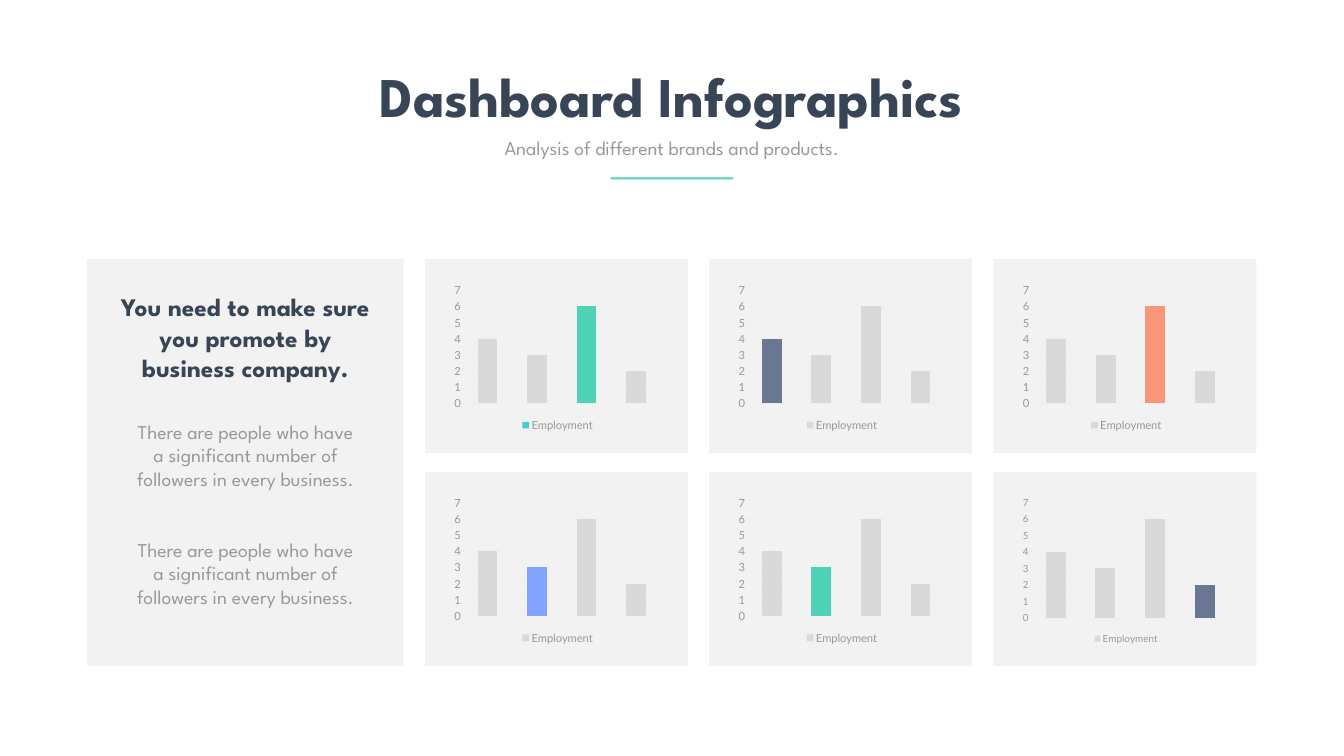
from pptx import Presentation
from pptx.chart.data import CategoryChartData
from pptx.dml.color import RGBColor
from pptx.enum.chart import XL_CHART_TYPE, XL_LEGEND_POSITION, XL_TICK_MARK
from pptx.enum.shapes import MSO_SHAPE
from pptx.enum.text import MSO_ANCHOR, PP_ALIGN
from pptx.util import Cm, Pt

STACKED = XL_CHART_TYPE.COLUMN_STACKED
BOTTOM = XL_LEGEND_POSITION.BOTTOM
NO_TICK = XL_TICK_MARK.NONE
RECT = MSO_SHAPE.RECTANGLE
TOP = MSO_ANCHOR.TOP
CENTER = PP_ALIGN.CENTER

NAVY = RGBColor(0x37, 0x45, 0x56)
GRAY = RGBColor(0x99, 0x99, 0x99)
PANEL = RGBColor(0xF2, 0xF2, 0xF2)
GRID = RGBColor(0xF0, 0xF0, 0xF0)
BAR = RGBColor(0xD9, 0xD9, 0xD9)
CYAN = RGBColor(0x43, 0xCD, 0xD9)
TEAL = RGBColor(0x50, 0xD2, 0xB6)
BLUE = RGBColor(0x82, 0xA4, 0xFE)
SLATE = RGBColor(0x69, 0x77, 0x92)
CORAL = RGBColor(0xF9, 0x95, 0x78)

TEXT_FONT = "League Spartan"
CHART_FONT = "Lato"
VALUES = (4, 3, 6, 2)
BODY = "There are people who have a significant number of followers in every business."

CARD_LEFT, CARD_TOP = 21.41, 13.06
CARD_W, CARD_H = 13.26, 9.78
STEP_X, STEP_Y = 14.33, 10.72
CHART_W, CHART_H = 10.85, 7.72

CARDS = [
    [(2, TEAL, CYAN, 16), (0, SLATE, BAR, 16), (2, CORAL, BAR, 16)],
    [(1, BLUE, BAR, 16), (1, TEAL, BAR, 16), (3, SLATE, BAR, 14)],
]


def add_block(slide, x, y, w, h, color):
    sp = slide.shapes.add_shape(RECT, Cm(x), Cm(y), Cm(w), Cm(h))
    sp.shadow.inherit = False
    sp.fill.solid()
    sp.fill.fore_color.rgb = color
    sp.line.fill.background()


def style_font(font, name, size, color, bold=False):
    font.name = name
    font.size = Pt(size)
    font.color.rgb = color
    font.bold = bold


def set_text(sp, text, size, color, bold=False, wrap=True):
    tf = sp.text_frame
    tf.text = text
    tf.word_wrap = wrap
    tf.vertical_anchor = TOP
    p = tf.paragraphs[0]
    p.alignment = CENTER
    p.line_spacing = 1.0
    style_font(p.runs[0].font, TEXT_FONT, size, color, bold)


def add_title(slide, text):
    sp = slide.shapes.title
    sp.left, sp.top, sp.width, sp.height = Cm(16.99), Cm(2.97), Cm(33.71), Cm(3.68)
    set_text(sp, text, 80, NAVY, bold=True, wrap=False)


def add_text(slide, x, y, w, h, text, size, color, bold=False):
    sp = slide.shapes.add_textbox(Cm(x), Cm(y), Cm(w), Cm(h))
    set_text(sp, text, size, color, bold)


def add_column_chart(slide, x, y, highlight, accent, series_color, size):
    data = CategoryChartData()
    data.categories = ["1", "2", "3", "4"]
    data.add_series("Employment", VALUES)
    chart = slide.shapes.add_chart(
        STACKED, Cm(x), Cm(y), Cm(CHART_W), Cm(CHART_H), data
    ).chart
    chart.has_title = False
    style_font(chart.font, CHART_FONT, size, GRAY)
    chart.has_legend = True
    chart.legend.position = BOTTOM
    chart.legend.include_in_layout = False
    style_font(chart.legend.font, CHART_FONT, size, GRAY)

    chart.category_axis.visible = False
    axis = chart.value_axis
    axis.minimum_scale, axis.maximum_scale, axis.major_unit = 0, 7, 1
    axis.major_tick_mark = NO_TICK
    axis.minor_tick_mark = NO_TICK
    axis.format.line.fill.background()
    style_font(axis.tick_labels.font, CHART_FONT, size, GRAY)
    grid_line = axis.major_gridlines.format.line
    grid_line.color.rgb = GRID
    grid_line.width = Pt(0.75)

    plot = chart.plots[0]
    plot.gap_width = 150
    plot.overlap = 100
    plot.vary_by_categories = False
    series = plot.series[0]
    series.format.fill.solid()
    series.format.fill.fore_color.rgb = series_color
    for i in range(len(VALUES)):
        fill = series.points[i].format.fill
        fill.solid()
        fill.fore_color.rgb = accent if i == highlight else BAR


def add_chart_cards(slide):
    for row, cards in enumerate(CARDS):
        for col, card in enumerate(cards):
            x = CARD_LEFT + col * STEP_X
            y = CARD_TOP + row * STEP_Y
            add_block(slide, x, y, CARD_W, CARD_H, PANEL)
            add_column_chart(slide, x + 1.27, y + 1.09, *card)


def add_message_panel(slide):
    add_block(slide, 4.39, CARD_TOP, 15.95, STEP_Y + CARD_H, PANEL)
    add_text(slide, 5.56, 14.58, 13.61, 4.88,
             "You need to make sure you promote by business company.", 36, NAVY, bold=True)
    for y in (21.03, 26.97):
        add_text(slide, 6.53, y, 11.68, 5.05, BODY, 28, GRAY)


def main():
    prs = Presentation()
    prs.slide_width, prs.slide_height = Cm(67.74), Cm(38.1)
    slide = prs.slides.add_slide(prs.slide_layouts[5])
    add_title(slide, "Dashboard Infographics")
    add_text(slide, 21.72, 6.73, 24.28, 1.45,
             "Analysis of different brands and products.", 28, GRAY)
    add_block(slide, 30.78, 8.94, 6.17, 0.1, TEAL)
    add_message_panel(slide)
    add_chart_cards(slide)
    prs.save("out.pptx")


if __name__ == "__main__":
    main()
